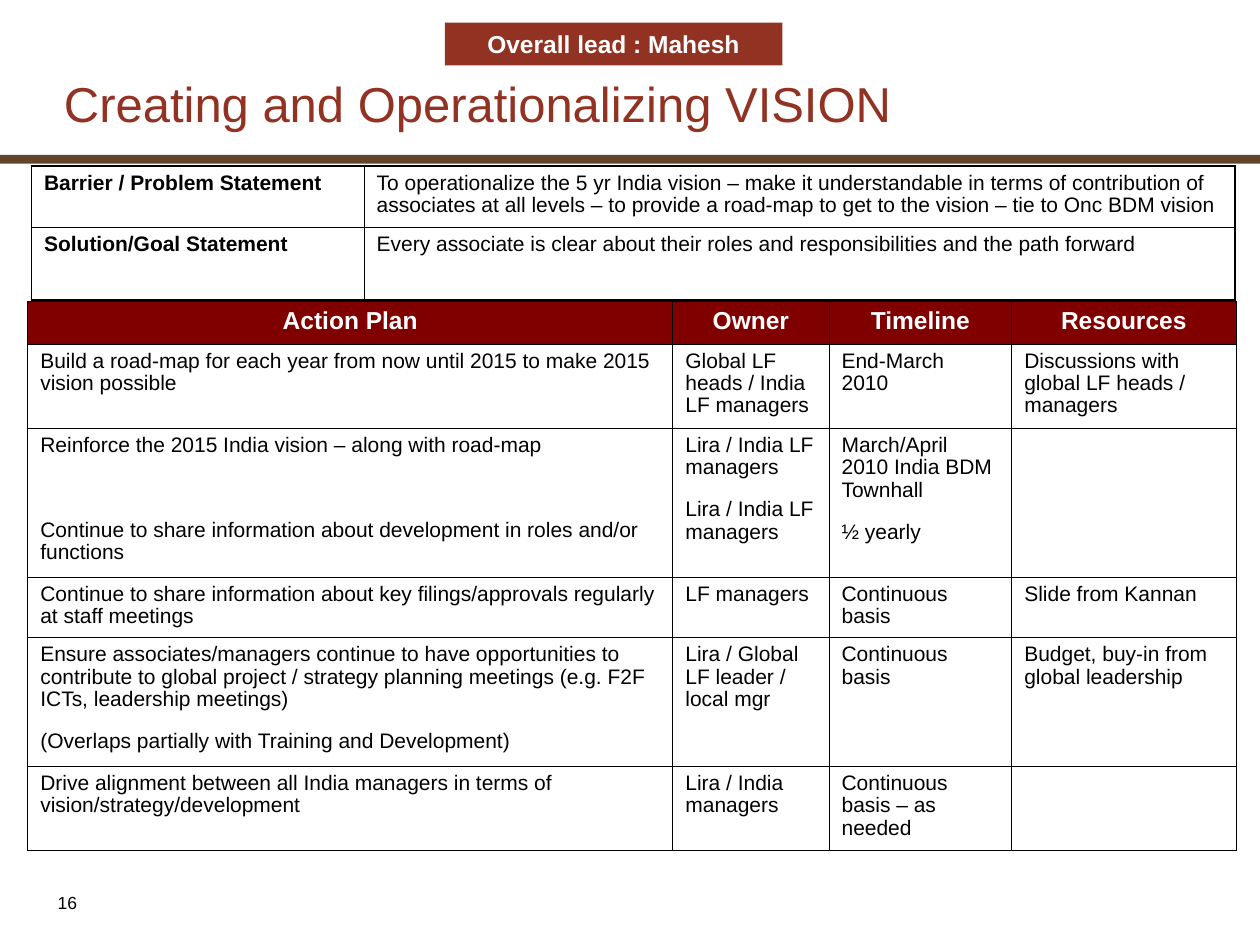
from dataclasses import dataclass

from lxml import etree
from pptx import Presentation
from pptx.dml.color import RGBColor
from pptx.enum.shapes import MSO_SHAPE
from pptx.enum.text import MSO_ANCHOR, PP_ALIGN
from pptx.oxml.ns import qn
from pptx.util import Inches, Pt

RECTANGLE = MSO_SHAPE.RECTANGLE
LEFT, CENTER = PP_ALIGN.LEFT, PP_ALIGN.CENTER
TOP, MIDDLE, BOTTOM = MSO_ANCHOR.TOP, MSO_ANCHOR.MIDDLE, MSO_ANCHOR.BOTTOM

FONT = "Arial"
BLACK, WHITE = "000000", "FFFFFF"
RUST, MAROON, BROWN = "923222", "800000", "634329"
THIN, THICK = 0.45, 1.08
PARAGRAPH_GAP = 11.2
TOPIC_GAP = 35.5


@dataclass(frozen=True)
class Style:
    size: float = 12
    color: str = BLACK
    bold: bool = False
    align: PP_ALIGN = LEFT
    spacing: float = 0.95
    gap: float = PARAGRAPH_GAP


@dataclass(frozen=True)
class Box:
    left: float
    top: float
    width: float
    height: float

    def lengths(self) -> list:
        return [Inches(value) for value in (self.left, self.top, self.width, self.height)]


@dataclass(frozen=True)
class Cell:
    paragraphs: tuple = ()
    style: Style = Style()
    fill: str = ""


@dataclass(frozen=True)
class Grid:
    left: float
    top: float
    columns: tuple
    heights: tuple
    rows: list
    outline: float


BODY = Style()
LABEL = Style(bold=True)
HEADING = Style(size=14, color=WHITE, bold=True, align=CENTER, spacing=1)
TITLE = Style(size=28, color=RUST)
PAGE = Style(size=10, spacing=1)


def rgb(value: str) -> RGBColor:
    return RGBColor.from_string(value)


def write(text_frame, paragraphs: tuple, style: Style) -> None:
    for index, text in enumerate(paragraphs):
        paragraph = text_frame.add_paragraph() if index else text_frame.paragraphs[0]
        paragraph.alignment = style.align
        paragraph.line_spacing = style.spacing
        if index:
            paragraph.space_before = Pt(style.gap)
        for line_index, line in enumerate(text.split("\n")):
            if line_index:
                paragraph.add_line_break()
            run = paragraph.add_run()
            run.text = line
            run.font.name = FONT
            run.font.size = Pt(style.size)
            run.font.bold = style.bold
            run.font.color.rgb = rgb(style.color)


def add_text(slide, box: Box, text: str, style: Style, anchor: MSO_ANCHOR) -> None:
    text_frame = slide.shapes.add_textbox(*box.lengths()).text_frame
    text_frame.word_wrap = True
    text_frame.vertical_anchor = anchor
    write(text_frame, (text,), style)


def add_bar(slide, box: Box, fill: str, text: str = "") -> None:
    shape = slide.shapes.add_shape(RECTANGLE, *box.lengths())
    shape.shadow.inherit = False
    shape.fill.solid()
    shape.fill.fore_color.rgb = rgb(fill)
    shape.line.fill.background()
    if text:
        shape.text_frame.vertical_anchor = MIDDLE
        write(shape.text_frame, (text,), HEADING)


def add_border(cell, tag: str, width: float) -> None:
    properties = cell._tc.get_or_add_tcPr()
    line = etree.SubElement(properties, qn(tag), w=str(Pt(width)))
    fill = etree.SubElement(line, qn("a:solidFill"))
    etree.SubElement(fill, qn("a:srgbClr"), val=BLACK)


def add_grid(slide, grid: Grid) -> None:
    row_count, column_count = len(grid.heights), len(grid.columns)
    box = Box(grid.left, grid.top, sum(grid.columns), sum(grid.heights))
    table = slide.shapes.add_table(row_count, column_count, *box.lengths()).table
    table.first_row = False
    table.horz_banding = False
    for column, width in zip(table.columns, grid.columns):
        column.width = Inches(width)
    for row, height in zip(table.rows, grid.heights):
        row.height = Inches(height)
    for row_index, contents in enumerate(grid.rows):
        for column_index, content in enumerate(contents):
            cell = table.cell(row_index, column_index)
            edges = {
                "a:lnL": column_index == 0,
                "a:lnR": column_index == column_count - 1,
                "a:lnT": row_index == 0,
                "a:lnB": row_index == row_count - 1,
            }
            for tag, is_outer in edges.items():
                add_border(cell, tag, grid.outline if is_outer else THIN)
            if content.fill:
                cell.fill.solid()
                cell.fill.fore_color.rgb = rgb(content.fill)
            else:
                cell.fill.background()
            write(cell.text_frame, content.paragraphs, content.style)


def body_row(*texts: str) -> list:
    return [Cell((text,) if text else ()) for text in texts]


STATEMENTS = [
    ("Barrier / Problem Statement",
     "To operationalize the 5 yr India vision – make it understandable in terms of contribution of "
     "associates at all levels – to provide a road-map to get to the vision – tie to Onc BDM vision"),
    ("Solution/Goal Statement",
     "Every associate is clear about their roles and responsibilities and the path forward"),
]

ACTIONS = [
    [Cell((text,), HEADING, MAROON) for text in ("Action Plan", "Owner", "Timeline", "Resources")],
    body_row("Build a road-map for each year from now until 2015 to make 2015 vision possible",
             "Global LF heads / India LF managers", "End-March\n2010",
             "Discussions with global LF heads / managers"),
    [Cell(("Reinforce the 2015 India vision – along with road-map",
           "Continue to share information about development in roles and/or functions"),
          Style(gap=TOPIC_GAP)),
     Cell(("Lira / India LF managers",) * 2),
     Cell(("March/April 2010 India BDM Townhall", "½ yearly")),
     Cell()],
    body_row("Continue to share information about key filings/approvals regularly at staff meetings",
             "LF managers", "Continuous basis", "Slide from Kannan"),
    [Cell(("Ensure associates/managers continue to have opportunities to contribute to global project / "
           "strategy planning meetings (e.g. F2F ICTs, leadership meetings)",
           "(Overlaps partially with Training and Development)")),
     *body_row("Lira / Global LF leader / local mgr", "Continuous basis",
               "Budget, buy-in from global leadership")],
    body_row("Drive alignment between all India managers in terms of vision/strategy/development",
             "Lira / India managers", "Continuous basis – as needed", ""),
]


def main() -> None:
    presentation = Presentation()
    presentation.slide_width = Inches(10)
    presentation.slide_height = Inches(7.5)
    slide = presentation.slides.add_slide(presentation.slide_layouts[6])

    add_bar(slide, Box(0, 1.23, 10, 0.07), BROWN)
    add_text(slide, Box(0.36, 7.03, 1.19, 0.27), "16", PAGE, TOP)
    add_text(slide, Box(0.41, 0.56, 9, 0.55), "Creating and Operationalizing VISION", TITLE, BOTTOM)
    statement_rows = [[Cell((label,), LABEL), Cell((text,), BODY)] for label, text in STATEMENTS]
    add_grid(slide, Grid(0.25, 1.32, (2.64, 6.91), (0.48, 0.58), statement_rows, THICK))
    add_grid(slide, Grid(0.22, 2.39, (5.12, 1.24, 1.45, 1.78),
                         (0.34, 0.67, 1.18, 0.48, 1.02, 0.67), ACTIONS, THIN))
    add_bar(slide, Box(3.53, 0.18, 2.68, 0.34), RUST, "Overall lead : Mahesh")

    presentation.save("out.pptx")


if __name__ == "__main__":
    main()
